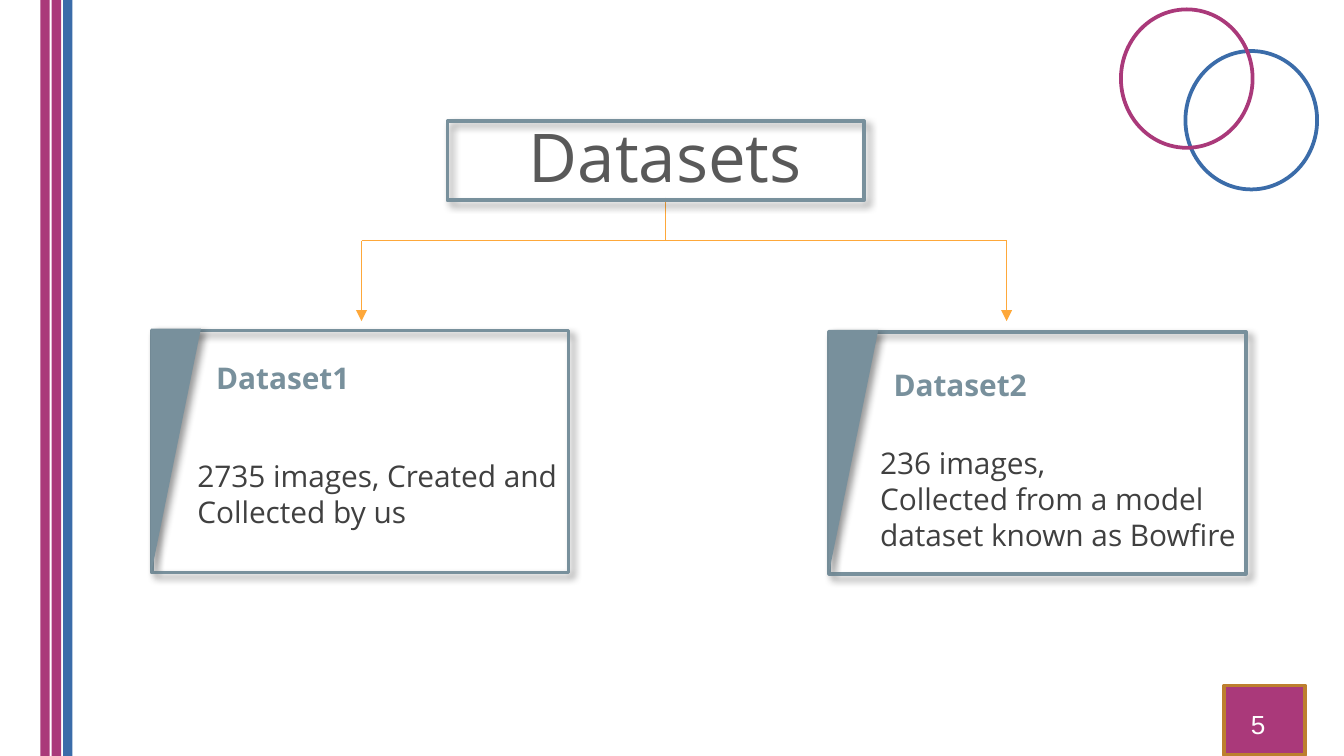
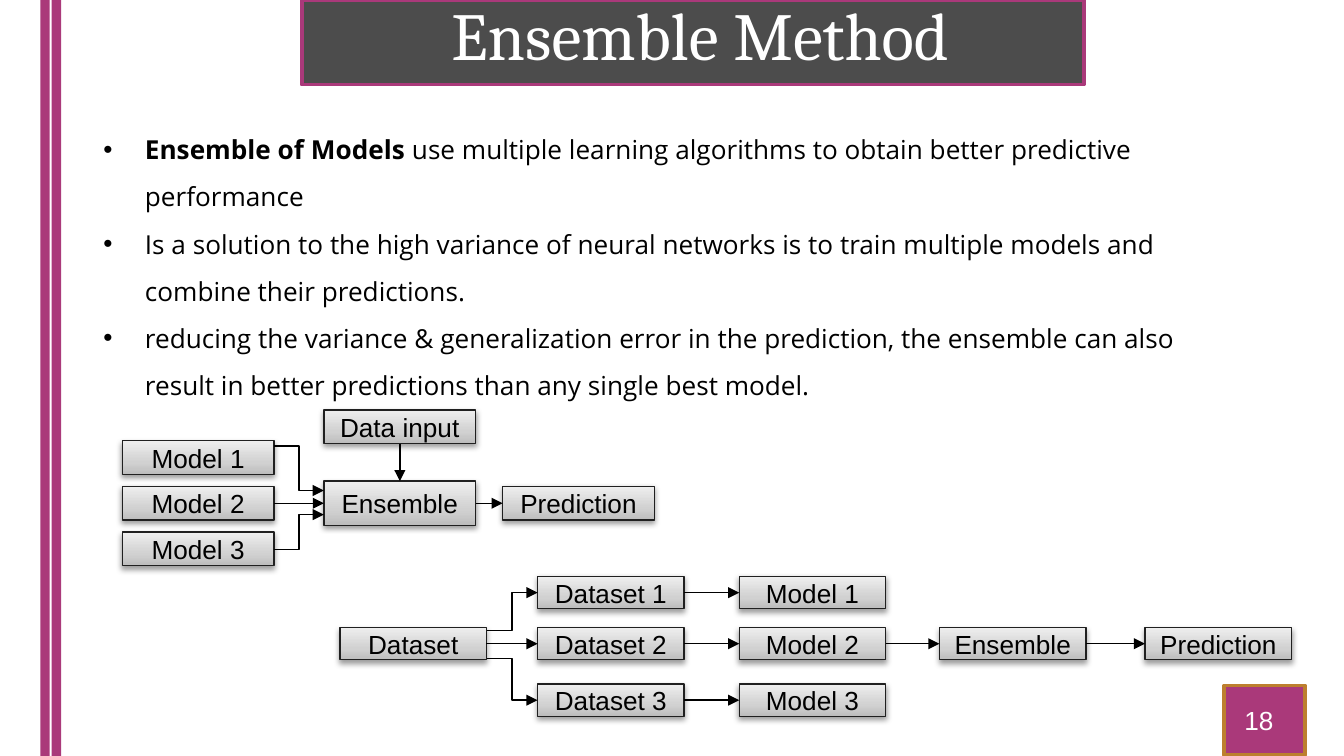
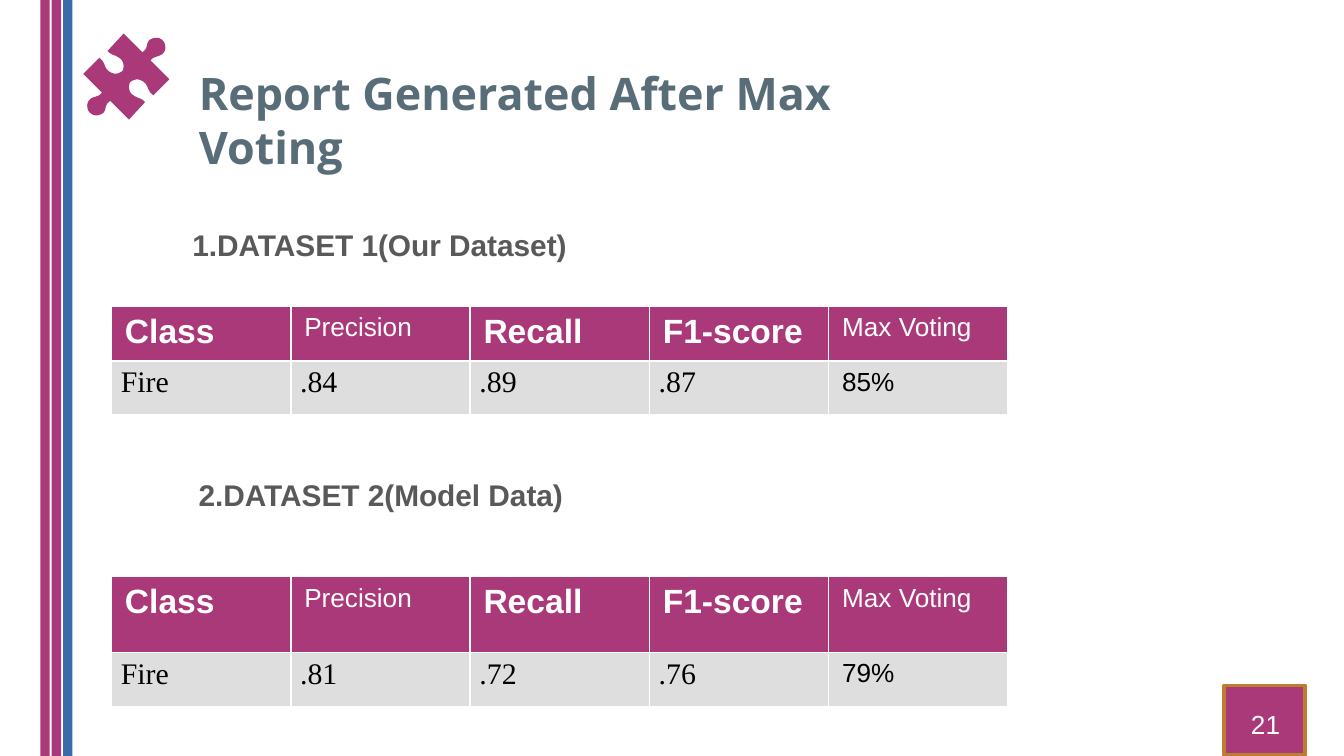
from copy import deepcopy
from lxml.etree import SubElement
from pptx import Presentation
from pptx.dml.color import RGBColor
from pptx.enum.shapes import MSO_CONNECTOR, MSO_SHAPE
from pptx.enum.text import MSO_ANCHOR, MSO_AUTO_SIZE, PP_ALIGN
from pptx.oxml.ns import qn
from pptx.util import Inches, Pt

# Grid: 100 columns across the slide, square cells
WIDE = Inches(10)
HIGH = WIDE * 9 // 16
UNIT = WIDE // 100
ROWS = HIGH / UNIT

PINK, BLUE, SLATE, AMBER = "AA397A", "3B6CA9", "78909C", "FEA83A"
WHITE, BLACK, GREY = "FFFFFF", "000000", "595959"
CARD_SHADE = dict(alpha=40, blur=4, dist=3, angle=45)
NODE_SHADE = dict(alpha=38, blur=3.1, dist=1.6, angle=90)
STEEL = ((0, "BDBDBD"), (0.35, "D1D1D1"), (1, "EEEEEE"))
CENTRE = dict(alignment=PP_ALIGN.CENTER)
BODY = dict(alignment=PP_ALIGN.JUSTIFY, line_spacing=1.15, space_after=Pt(10))
TIGHT = dict(margin_left=Inches(0.07), margin_right=Inches(0.07),
             margin_top=0, margin_bottom=0)
BARE = dict(margin_left=0, margin_right=0, margin_top=0, margin_bottom=0)


def color(code):
    return RGBColor.from_string(code)


def emu(*cells):
    return [round(c * UNIT) for c in cells]


def part(box, x, y, *size):
    return (box[0] + x, box[1] + y, *size)


def apply(item, values):
    for name, value in values.items():
        setattr(item, name, value)


def node(parent, tag, **attrs):
    return SubElement(parent, qn(tag), {k: str(v) for k, v in attrs.items()})


def shade(shape, alpha, blur, dist, angle):
    effects = shape.element.spPr.find(qn("a:effectLst"))
    outer = node(effects, "a:outerShdw", blurRad=Pt(blur), dist=Pt(dist),
                 dir=angle * 60000, algn="tl", rotWithShape=0)
    node(node(outer, "a:srgbClr", val=BLACK), "a:alpha", val=alpha * 1000)


def paint(shape, fill=None, edge=None, width=2, shadow=None):
    shape.shadow.inherit = False
    if fill:
        shape.fill.solid()
        shape.fill.fore_color.rgb = color(fill)
    else:
        shape.fill.background()
    if edge:
        shape.line.color.rgb = color(edge)
        shape.line.width = Pt(width)
    else:
        shape.line.fill.background()
    if shadow:
        shade(shape, **shadow)
    return shape


def draw(slide, kind, box, **look):
    return paint(slide.shapes.add_shape(kind, *emu(*box)), **look)


def put(frame, lines, size, tint, font="Open Sans", para={}, **form):
    """Fill a frame; words between ** marks are bold."""
    frame.word_wrap = True
    apply(frame, form)
    for i, line in enumerate(lines):
        p = frame.add_paragraph() if i else frame.paragraphs[0]
        apply(p, para)
        for n, words in enumerate(line.split("**")):
            if words:
                run = p.add_run()
                run.text = words
                apply(run.font, dict(name=font, size=Pt(size), bold=n % 2 == 1))
                run.font.color.rgb = color(tint)
    return frame


def note(slide, box, lines, *look, **form):
    area = slide.shapes.add_textbox(*emu(*box))
    return put(area.text_frame, lines, *look, **form)


def head(slide, box, words, *look, **form):
    title = slide.shapes.title
    apply(title, dict(zip(("left", "top", "width", "height"), emu(*box))))
    put(title.text_frame, [words], *look,
        auto_size=MSO_AUTO_SIZE.NONE, **form)
    return title


def link(slide, start, end, tint=BLACK, bent=False, tip=True):
    """Join two ends, each a point or a (shape, side) pair."""
    kind = MSO_CONNECTOR.ELBOW if bent else MSO_CONNECTOR.STRAIGHT
    free = [(0, 0) if hasattr(e[0], "left") else e for e in (start, end)]
    line = slide.shapes.add_connector(kind, *emu(*free[0], *free[1]))
    for spot, join in ((start, line.begin_connect), (end, line.end_connect)):
        if hasattr(spot[0], "left"):
            join(*spot)
    line.line.color.rgb = color(tint)
    line.line.width = Pt(0.75)
    if tip:
        node(line.line._get_or_add_ln(), "a:tailEnd", type="triangle")
    node(line.element.spPr, "a:effectLst")


# Shared frame parts
def stripes(slide, tints):
    for i, tint in enumerate(tints):
        draw(slide, MSO_SHAPE.RECTANGLE, (3 + 0.85 * i, 0, 0.7, ROWS), fill=tint)


def badge(slide, number, x=1, y=1.2):
    box = (91.1, 51, 6, 5.2)
    draw(slide, MSO_SHAPE.RECTANGLE, box, fill=PINK, edge="BD7F2F")
    note(slide, part(box, x, y, 5, 3.4), [number], 14, WHITE, "Arial")


# Datasets slide
def rings(slide, box):
    for x, y, tint in ((4.8, 3.1, BLUE), (0, 0, PINK)):
        draw(slide, MSO_SHAPE.OVAL, part(box, x, y, 9.8, 10.3), edge=tint)


def card(slide, box, name, lines, drop, inset, top):
    draw(slide, MSO_SHAPE.RECTANGLE, box, edge=SLATE, shadow=CARD_SHADE)
    fold = draw(slide, MSO_SHAPE.RIGHT_TRIANGLE, part(box, -7.3, 7.1, 18.2, 3.7),
                fill=SLATE, shadow=CARD_SHADE)
    fold.rotation = 90
    note(slide, part(box, inset, top, 29, 9), lines, 16, "404040")
    note(slide, part(box, 3.8, drop, 26.2, 3.7), [f"**{name}**"], 16, SLATE)


def datasets(slide):
    stripes(slide, (PINK, PINK, BLUE))
    rings(slide, (83.4, 0.7))
    title = head(slide, (18.6, 8.4, 61.8, 6.3), "Datasets", 36, GREY,
                 para=CENTRE, vertical_anchor=MSO_ANCHOR.MIDDLE)
    card(slide, (11.3, 24.6, 31, 18), "Dataset1",
         ["2735 images, Created and Collected by us"], 1.7, 2.4, 9)
    card(slide, (61.7, 24.7, 31, 18), "Dataset2",
         ["236 images,", "Collected from a model dataset known as Bowfire"],
         2.1, 2.8, 7.9)
    # Tree from the title to the cards
    left, right, bar = 26.9, 74.9, 17.9
    link(slide, (left, bar), (right, bar), AMBER, tip=False)
    for x in (left, right):
        link(slide, (x, bar), (x, bar + 6), AMBER)
    link(slide, (title, 2), (49.5, bar), AMBER, tip=False)
    draw(slide, MSO_SHAPE.RECTANGLE, (33.3, 9, 31, 5.9), edge=SLATE,
         shadow=CARD_SHADE)
    badge(slide, "5")


# Ensemble slide
def block(slide, box, words):
    shape = draw(slide, MSO_SHAPE.RECTANGLE, box, edge="202020", width=0.75,
                 shadow=NODE_SHADE)
    shape.fill.gradient()
    shape.fill.gradient_angle = 90
    stops = shape.element.spPr.find(".//" + qn("a:gsLst"))
    stops.append(deepcopy(stops[0]))
    for stop, (place, tint) in zip(shape.fill.gradient_stops, STEEL):
        stop.position = place
        stop.color.rgb = color(tint)
    put(shape.text_frame, [words], 14, BLACK, "Arial", para=CENTRE,
        vertical_anchor=MSO_ANCHOR.MIDDLE, **BARE)
    return shape


def voting(slide, box):
    wide, tall, mid = 11.3, 2.5, 15
    models = [block(slide, part(box, 0, 2.3 + 3.4 * i, wide, tall), f"Model {i + 1}")
              for i in range(3)]
    core = block(slide, part(box, mid, 5.3, wide, 3.3), "Ensemble")
    goal = block(slide, part(box, 28.3, 5.7, wide, tall), "Prediction")
    data = block(slide, part(box, mid, 0, wide, tall), "Data input")
    for y, end in ((2.7, 6), (10.4, 7.8)):
        link(slide, part(box, wide, y), part(box, mid, end), bent=True)
    link(slide, (models[1], 3), (core, 1))
    link(slide, (core, 3), (goal, 1))
    link(slide, (data, 2), (core, 0))


def bagging(slide, box):
    wide, tall, mid, col = 10.9, 2.4, 3.8, 14.7

    def cell(x, y, words):
        return block(slide, part(box, x, y, wide, tall), words)

    source = cell(0, mid, "Dataset")
    for i, y in enumerate((0, mid, 8), 1):
        data, model = cell(col, y, f"Dataset {i}"), cell(29.7, y, f"Model {i}")
        link(slide, (data, 3), (model, 1))
        if y == mid:
            link(slide, (source, 3), (data, 1))
            last = model
    for x, words in ((44.6, "Ensemble"), (59.9, "Prediction")):
        step = cell(x, mid, words)
        link(slide, (last, 3), (step, 1))
        last = step
    for y, end in ((4, 1.2), (6.1, 9.2)):
        link(slide, part(box, wide, y), part(box, col, end), bent=True)


def points(slide, box, lines):
    frame = note(slide, box, lines, 14, BLACK, para=dict(line_spacing=1.5))
    for p in frame.paragraphs:
        props = p._p.get_or_add_pPr()
        props.set("marL", str(Inches(0.31)))
        props.set("indent", str(-Inches(0.31)))
        node(node(props, "a:buClr"), "a:srgbClr", val=BLACK)
        node(props, "a:buFont", typeface="Arial")
        node(props, "a:buChar", char="•")


def ensemble(slide):
    band = draw(slide, MSO_SHAPE.RECTANGLE, (22.45, 0, 58.2, 6.3), fill=BLACK,
                edge=PINK)
    ink = band.element.spPr.find(qn("a:solidFill"))[0]
    node(ink, "a:alpha", val=70000)
    title = head(slide, (26, -1, 52.2, 7.1), "Ensemble Method", 36, WHITE,
                 "Cambria", para=CENTRE, vertical_anchor=MSO_ANCHOR.TOP)
    title.element.getparent().append(title.element)  # in front of the band
    stripes(slide, (PINK, PINK))
    points(slide, (6.7, 8.3, 86.5, 18.2), [
        "**Ensemble of Models** use multiple learning algorithms to obtain "
        "better predictive performance",
        "Is a solution to the high variance of neural networks is to train "
        "multiple models and combine their predictions.",
        "reducing the variance & generalization error in the prediction, the "
        "ensemble can also result in better predictions than any single best model.",
    ])
    voting(slide, (9.1, 30.5))
    bagging(slide, (25.3, 42.9))
    badge(slide, "18", 0.5, 0.9)


# Report slide
def puzzle(slide, box):
    """Half the outline on a 64-cell grid, then the same half turned round."""
    half = [(61, 7, 62, 11, 60, 14), (57, 18, 53, 16, 50, 20), (64, 34), (52, 46),
            (47, 42, 49, 39, 45, 36), (41, 33, 38, 34, 35, 36),
            (34, 37, 33, 42, 36, 45), (41, 49, 42, 47, 46, 51), (34, 64), (20, 50),
            (15, 54, 18, 55, 15, 59), (11, 62, 7, 61, 5, 59)]
    spots = [(59, 5)]
    for step in half + [tuple(64 - v for v in s) for s in half]:
        if len(step) == 2:
            spots.append(step)
            continue
        a, b, c, d = spots[-1], step[:2], step[2:4], step[4:]
        for t in (n / 6 for n in range(1, 7)):
            u = 1 - t
            spots.append(tuple(
                u**3 * a[k] + 3 * u * u * t * b[k] + 3 * u * t * t * c[k] + t**3 * d[k]
                for k in (0, 1)))
    scale = box[2] / 64
    spots = [emu(*part(box, x * scale, y * scale)) for x, y in spots]
    pen = slide.shapes.build_freeform(*spots[0], scale=1.0)
    pen.add_line_segments(spots[1:], close=True)
    paint(pen.convert_to_shape(), fill=PINK)


def fill_cell(cell, words, tint, *look, **form):
    props = cell._tc.get_or_add_tcPr()
    for side in "LRTB":
        edge = node(props, f"a:ln{side}", w=Pt(1))
        node(node(edge, "a:solidFill"), "a:srgbClr", val=WHITE)
    cell.fill.solid()
    cell.fill.fore_color.rgb = color(tint)
    put(cell.text_frame, [words], *look, **form)


def scores(slide, box, heights, values):
    names = ("**Class**", "Precision", "**Recall**", "**F1-score**", "Max Voting")
    table = slide.shapes.add_table(2, len(names), *emu(*box, sum(heights))).table
    for row, tall in zip(table.rows, heights):
        row.height = emu(tall)[0]
    for i, (name, value) in enumerate(zip(names, values)):
        fill_cell(table.cell(0, i), name, PINK, 18 if "**" in name else 14,
                  WHITE, "Arial")
        cell = table.cell(1, i)
        if value.endswith("%"):
            fill_cell(cell, value, "DEDEDE", 14, BLACK, "Arial")
        else:
            apply(cell, TIGHT)
            fill_cell(cell, value, "DEDEDE", 16, BLACK, "Times New Roman", para=BODY)


def report(slide):
    stripes(slide, (PINK, PINK, BLUE))
    puzzle(slide, (6.2, 2.5, 6.4, 6.4))
    head(slide, (13.8, 4.4, 58.7, 9), "**Report Generated After Max Voting**", 24,
         "586D77", para=dict(alignment=PP_ALIGN.LEFT),
         vertical_anchor=MSO_ANCHOR.TOP)
    note(slide, (6.8, 16.4, 42.9, 6.4), ["**1.DATASET 1(Our Dataset)**"], 16, GREY,
         "Arial", para=CENTRE)
    note(slide, (13.8, 35, 34.4, 6.4), ["**2.DATASET 2(Model Data)**"], 16, GREY,
         "Arial")
    scores(slide, (8.3, 22.8, 66.7), (4.05, 4.05),
           ("Fire", ".84", ".89", ".87", "85%"))
    scores(slide, (8.3, 42.9, 66.7), (5.65, 4.05),
           ("Fire", ".81", ".72", ".76", "79%"))
    badge(slide, "21")


def main():
    deck = Presentation()
    deck.slide_width, deck.slide_height = WIDE, HIGH
    for build in (datasets, ensemble, report):
        build(deck.slides.add_slide(deck.slide_layouts[5]))
    deck.save("out.pptx")


if __name__ == "__main__":
    main()
